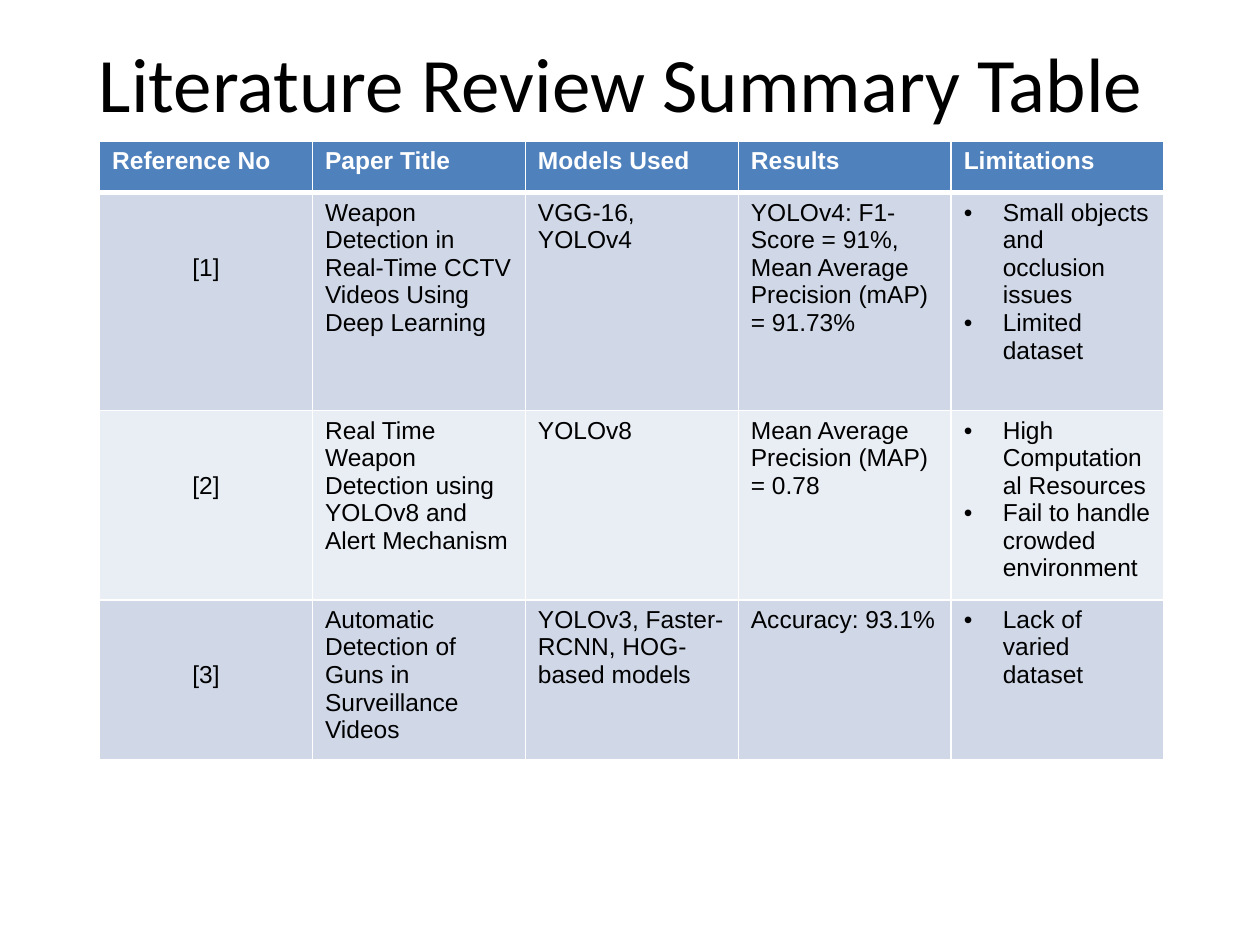
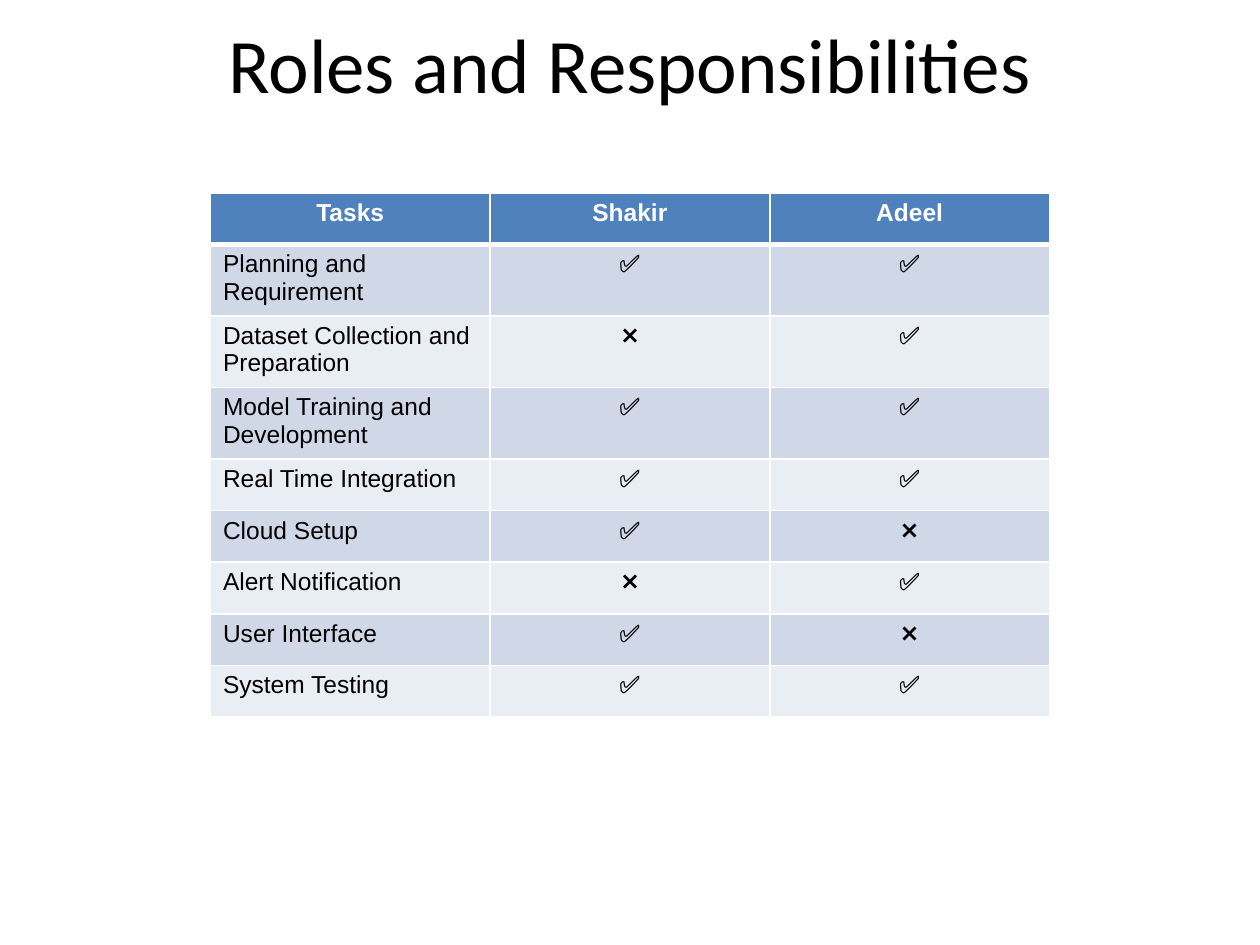
import lxml.etree
import pptx
import pptx.dml.color
import pptx.enum.text
import pptx.oxml.ns
import pptx.util

Inches = pptx.util.Inches
Pt = pptx.util.Pt
LEFT = pptx.enum.text.PP_ALIGN.LEFT
CENTER = pptx.enum.text.PP_ALIGN.CENTER
COLORS = {
    "text": "000000",
    "header": "4F81BD",
    "odd": "D0D8E8",
    "even": "E9EDF4",
    "white": "FFFFFF",
}


class Deck:
    """Holds the shared style and the current slide."""

    def __init__(self):
        self.presentation = pptx.Presentation()
        self.presentation.slide_width = Inches(10)
        self.presentation.slide_height = Inches(7.5)
        self.slide = None

    def color(self, name):
        return pptx.dml.color.RGBColor.from_string(COLORS[name])

    def add_slide(self, title, title_top):
        self.slide = self.presentation.slides.add_slide(self.presentation.slide_layouts[6])
        shape = self.slide.shapes.add_textbox(Inches(0.5), Inches(title_top), Inches(9), Inches(1.25))
        frame = shape.text_frame
        frame.word_wrap = True
        frame.vertical_anchor = pptx.enum.text.MSO_ANCHOR.MIDDLE
        self.add_text(frame.paragraphs[0], title, 44, "Calibri", align=CENTER)

    def add_text(self, paragraph, text, size=14, font="Arial", color="text", bold=False, align=LEFT):
        paragraph.alignment = align
        run = paragraph.add_run()
        run.text = text
        run.font.size = Pt(size)
        run.font.name = font
        run.font.bold = bold
        run.font.color.rgb = self.color(color)

    def add_bullet(self, paragraph):
        properties = paragraph._p.get_or_add_pPr()
        properties.set("marL", str(Inches(0.31)))
        properties.set("indent", str(-Inches(0.31)))
        for tag, attribute, value in (("a:buFont", "typeface", "Arial"), ("a:buChar", "char", "•")):
            lxml.etree.SubElement(properties, pptx.oxml.ns.qn(tag)).set(attribute, value)

    def add_borders(self, cell, top, bottom):
        properties = cell._tc.get_or_add_tcPr()
        for side, width in (("L", 1), ("R", 1), ("T", top), ("B", bottom)):
            line = lxml.etree.SubElement(properties, pptx.oxml.ns.qn(f"a:ln{side}"))
            line.set("w", str(Pt(width)))
            fill = lxml.etree.SubElement(line, pptx.oxml.ns.qn("a:solidFill"))
            lxml.etree.SubElement(fill, pptx.oxml.ns.qn("a:srgbClr")).set("val", COLORS["white"])

    def add_table(self, left, top, column_width, row_heights, rows, header_align, body_aligns):
        columns = len(rows[0])
        shape = self.slide.shapes.add_table(
            len(rows), columns, Inches(left), Inches(top),
            Inches(column_width * columns), Inches(sum(row_heights)))
        table = shape.table
        table.first_row = False
        table.horz_banding = False
        for column in table.columns:
            column.width = Inches(column_width)
        for index, (height, values) in enumerate(zip(row_heights, rows)):
            table.rows[index].height = Inches(height)
            header = index == 0
            band = "header" if header else "odd" if index % 2 else "even"
            for position, value in enumerate(values):
                cell = table.cell(index, position)
                self.add_borders(cell, 3 if index == 1 else 1, 3 if header else 1)
                cell.fill.solid()
                cell.fill.fore_color.rgb = self.color(band)
                align = header_align if header else body_aligns[position]
                self.fill_cell(cell, value, header, align)
        return table

    def fill_cell(self, cell, value, header, align):
        frame = cell.text_frame
        bulleted = isinstance(value, list)
        for number, text in enumerate(value if bulleted else [value]):
            paragraph = frame.add_paragraph() if number else frame.paragraphs[0]
            self.add_text(paragraph, text, color="white" if header else "text", bold=header, align=align)
            if bulleted:
                self.add_bullet(paragraph)


def build_literature_review(deck):
    rows = [
        ["Reference No", "Paper Title", "Models Used", "Results", "Limitations"],
        ["[1]", "Weapon Detection in Real-Time CCTV Videos Using Deep Learning",
         "VGG-16, YOLOv4", "YOLOv4: F1-Score = 91%, Mean Average Precision (mAP) = 91.73%",
         ["Small objects and occlusion issues", "Limited dataset"]],
        ["[2]", "Real Time Weapon Detection using YOLOv8 and Alert Mechanism",
         "YOLOv8", "Mean Average Precision (MAP) = 0.78",
         ["High Computational Resources", "Fail to handle crowded environment"]],
        ["[3]", "Automatic Detection of Guns in Surveillance Videos",
         "YOLOv3, Faster-RCNN, HOG-based models", "Accuracy: 93.1%",
         ["Lack of varied dataset"]],
    ]
    deck.add_slide("Literature Review Summary Table ", 0.02)
    table = deck.add_table(0.79, 1.12, 1.69, [0.41, 1.73, 1.29, 0.91], rows,
                           LEFT, [CENTER] + [LEFT] * 4)
    for index in range(1, len(rows)):
        table.cell(index, 0).margin_top = Inches(0.49)


def build_roles(deck):
    yes, no = "✅", "❌"
    rows = [
        ["Tasks", "Shakir", "Adeel"],
        ["Planning and Requirement", yes, yes],
        ["Dataset Collection and Preparation", no, yes],
        ["Model Training and Development", yes, yes],
        ["Real Time Integration", yes, yes],
        ["Cloud Setup", yes, no],
        ["Alert Notification", no, yes],
        ["User Interface", yes, no],
        ["System Testing", yes, yes],
    ]
    deck.add_slide("Roles and Responsibilities", -0.13)
    deck.add_table(1.67, 1.53, 2.22, [0.41] * len(rows), rows, CENTER, [LEFT, CENTER, CENTER])


def main():
    deck = Deck()
    build_literature_review(deck)
    build_roles(deck)
    deck.presentation.save("out.pptx")


if __name__ == "__main__":
    main()
